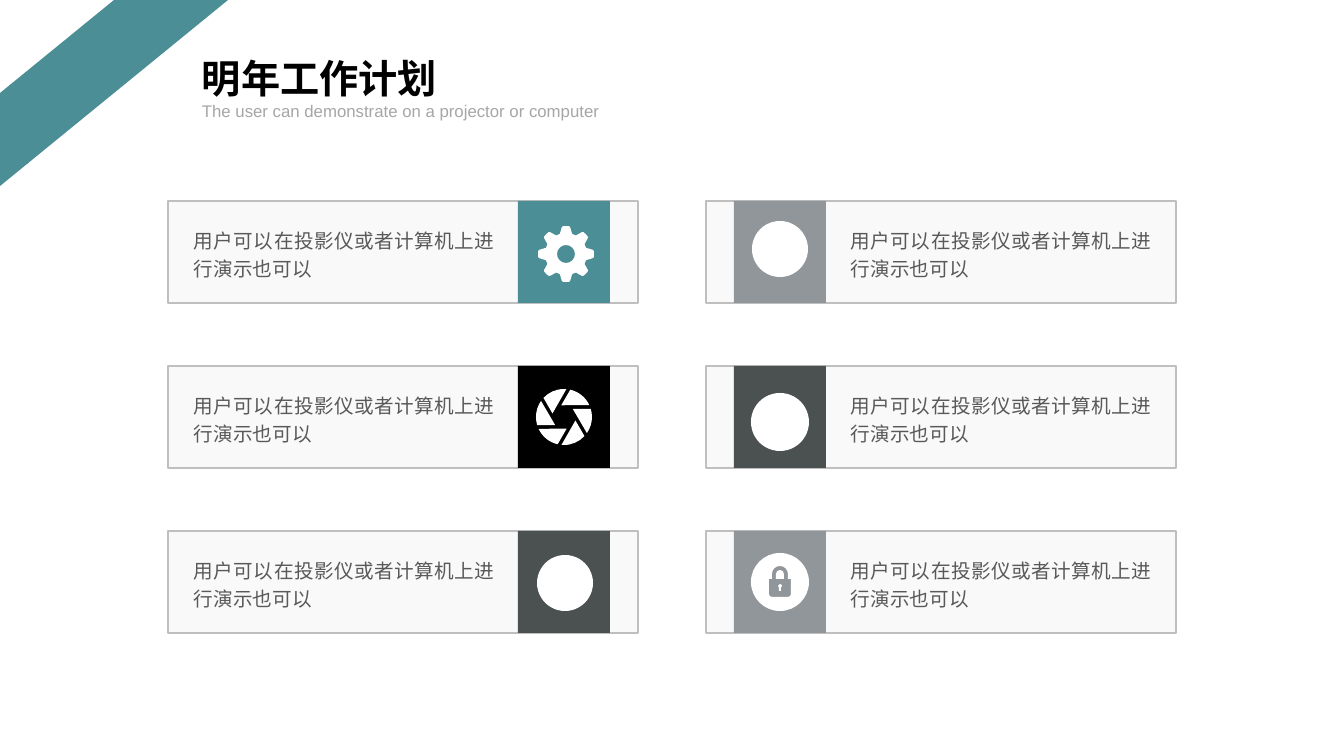
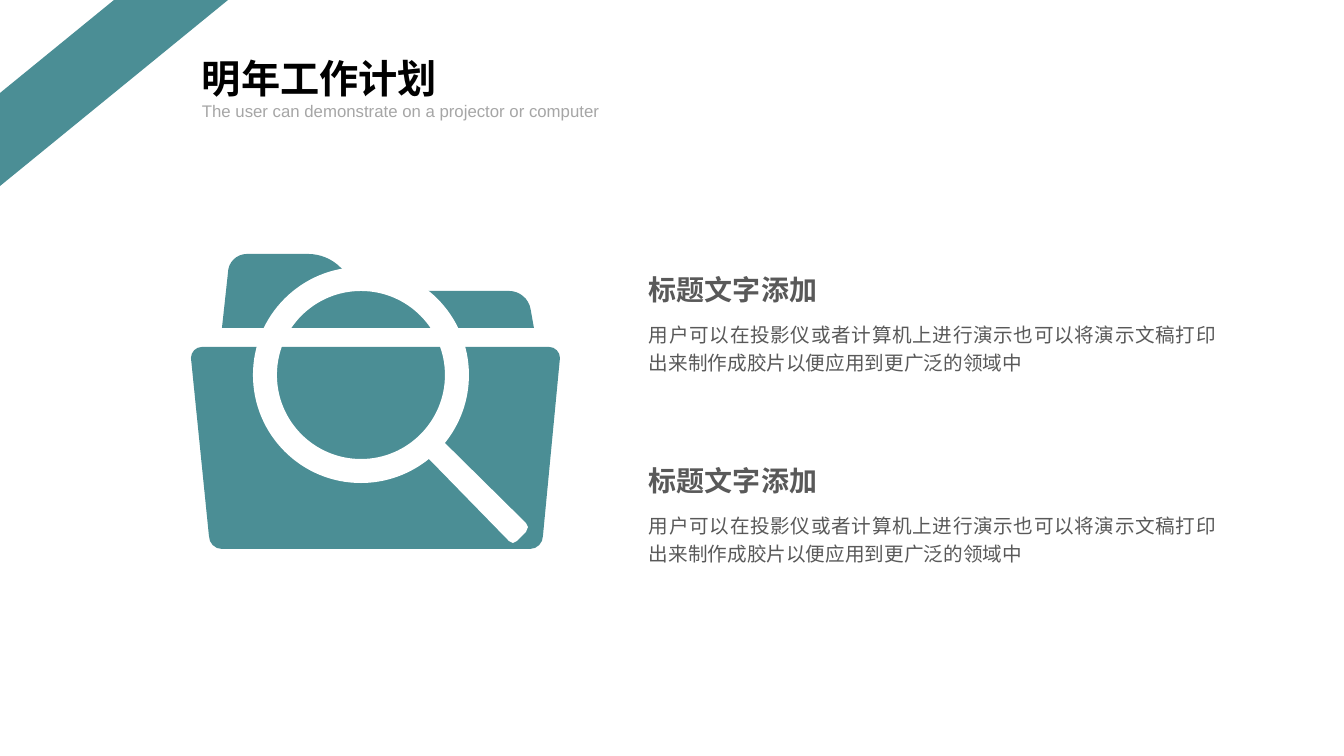
from dataclasses import dataclass
from math import cos, radians, sin, tan

from lxml.etree import SubElement
from pptx import Presentation
from pptx.dml.color import RGBColor
from pptx.enum.lang import MSO_LANGUAGE_ID
from pptx.enum.shapes import MSO_SHAPE
from pptx.enum.text import MSO_AUTO_SIZE, PP_ALIGN
from pptx.oxml.ns import qn
from pptx.util import Pt

PX = 914400 / 100.8


@dataclass(frozen=True)
class Theme:
    font: str = "Arial"
    teal: str = "4B8E95"
    silver: str = "91969B"
    slate: str = "4B5050"
    black: str = "000000"
    white: str = "FFFFFF"
    panel: str = "F2F2F2"
    border: str = "BFBFBF"
    body: str = "595959"
    muted: str = "A6A6A6"
    title_size: int = 28
    heading_size: int = 20
    body_size: int = 14
    subtitle_size: int = 12


theme = Theme()


def text(s, content, box, size=theme.body_size, color=theme.body, bold=False,
         align=PP_ALIGN.JUSTIFY, spacing=1.2, wrap=True,
         lang=MSO_LANGUAGE_ID.SIMPLIFIED_CHINESE):
    sp = s.shapes.add_textbox(*[round(v * PX) for v in box])
    tf = sp.text_frame
    tf.word_wrap = wrap
    tf.auto_size = MSO_AUTO_SIZE.SHAPE_TO_FIT_TEXT
    p = tf.paragraphs[0]
    p.alignment = align
    p.line_spacing = spacing
    r = p.add_run()
    r.text = content
    r.font.name = theme.font
    r.font.size = Pt(size)
    r.font.bold = bold
    r.font.color.rgb = RGBColor.from_string(color)
    r.font.language_id = lang
    for props in sp.element.iter(qn("a:rPr")):
        SubElement(props, qn("a:ea")).set("typeface", theme.font)


def arc(cx, cy, radius, start, end):
    low, high = sorted((start, end))
    cuts = [a for a in range(-360, 721, 90) if low < a < high]
    stops = [radians(a) for a in sorted({start, end, *cuts}, reverse=end < start)]
    nodes = [(cx + radius * cos(stops[0]), cy + radius * sin(stops[0]))]
    for a, b in zip(stops, stops[1:]):
        k = 4 / 3 * tan((b - a) / 4)
        nodes.append((cx + radius * (cos(a) - k * sin(a)),
                      cy + radius * (sin(a) + k * cos(a)),
                      cx + radius * (cos(b) + k * sin(b)),
                      cy + radius * (sin(b) - k * cos(b)),
                      cx + radius * cos(b), cy + radius * sin(b)))
    return nodes


prs = Presentation()
prs.slide_width = round(1344 * PX)
prs.slide_height = round(756 * PX)
layout = prs.slide_layouts[6]
for placeholder in list(layout.placeholders):
    layout.shapes.element.remove(placeholder.element)

cards_slide, folder_slide = [prs.slides.add_slide(layout) for _ in range(2)]
painted = []
outlines = []

band = cards_slide.shapes.add_shape(
    MSO_SHAPE.DIAGONAL_STRIPE, 0, 0, round(228 * PX), round(186 * PX))
painted.append((band, theme.teal, None))
layout.shapes.element.append(band.element)

CARD_TOP, CARD_PITCH, CARD_W, CARD_H, TILE_W = 201, 165, 470, 102, 92
columns = [
    (168, 518, 184, (theme.teal, theme.black, theme.slate)),
    (706, 734, 841, (theme.silver, theme.slate, theme.silver)),
]
for card_x, tile_x, text_x, fills in columns:
    for row, tile_fill in enumerate(fills):
        y = CARD_TOP + row * CARD_PITCH
        for x, w, fill, line in ((card_x, CARD_W, theme.panel, theme.border),
                                 (tile_x, TILE_W, tile_fill, None)):
            sp = cards_slide.shapes.add_shape(
                MSO_SHAPE.RECTANGLE, *[round(v * PX) for v in (x, y, w, CARD_H)])
            painted.append((sp, fill, line))
        text(cards_slide, "用户可以在投影仪或者计算机上进行演示也可以",
             (text_x, y + 18, 320, 68))

for cx, cy, radius in ((565, 583, 28), (780, 249, 28), (780, 422, 29)):
    badge = cards_slide.shapes.add_shape(
        MSO_SHAPE.OVAL, *[round(v * PX) for v in
                          (cx - radius, cy - radius, 2 * radius, 2 * radius)])
    painted.append((badge, theme.white, None))

gear = []
for tooth in range(0, 360, 45):
    for radius, start, end in ((27, -9, -9), (28, -6, 6), (27, 9, 9), (21, 17, 28)):
        gear += arc(566, 254, radius, tooth + start, tooth + end)
outlines.append((cards_slide, theme.white, [gear, arc(566, 254, 9, 0, 360)]))

blades = [arc(564, 417, 28, turn - 85, turn - 137)
          + arc(564, 417, 12, turn - 163, turn - 163)
          for turn in range(0, 360, 60)]
outlines.append((cards_slide, theme.white, blades))

lock = [
    arc(780, 582, 29, 0, 360),
    [(769, 579), (772, 579)] + arc(780, 574, 8, 180, 360)
    + [(788, 579), (791, 579)] + arc(788, 594, 3, 0, 90) + arc(772, 594, 3, 90, 180),
    arc(780, 574, 4, 180, 360) + [(784, 579), (776, 579)],
    arc(780, 586, 2, 120, 420) + [(781, 591), (779, 591)],
]
outlines.append((cards_slide, theme.white, lock))

folder_front = (arc(202, 358, 11, 180, 270) + arc(549, 358, 11, 270, 360)
                + arc(530, 536, 13, 0, 90) + arc(222, 536, 13, 90, 180))
folder_back = ([(222, 328)] + arc(247, 273, 19, 180, 270)
               + arc(308, 300, 46, 270, 315) + arc(383, 245, 46, 135, 90)
               + arc(509, 313, 22, 270, 350) + [(534, 328)])
outlines.append((folder_slide, theme.teal, [folder_front, folder_back]))

magnifier = [
    arc(361, 375, 108, 51, 399)
    + [(526, 523), (528, 527), (526, 532), (517, 541), (513, 543), (509, 541)],
    arc(361, 375, 84, 0, 360),
]
outlines.append((folder_slide, theme.white, magnifier))

for s, fill, contours in outlines:
    scaled = [[tuple(v * PX for v in node) for node in nodes] for nodes in contours]
    builder = s.shapes.build_freeform(*scaled[0][0])
    for i, nodes in enumerate(scaled):
        if i:
            builder.move_to(*nodes[0])
        builder.add_line_segments([node[-2:] for node in nodes[1:]], close=True)
    sp = builder.convert_to_shape()
    segments = list(sp.element.iter(qn("a:lnTo")))
    ends = [node for nodes in scaled for node in nodes[1:]]
    for segment, node in zip(segments, ends):
        if len(node) == 6:
            segment.tag = qn("a:cubicBezTo")
            for i in (0, 1):
                x, y = node[2 * i:2 * i + 2]
                control = segment.makeelement(qn("a:pt"))
                control.set("x", str(round(x) - sp.left))
                control.set("y", str(round(y) - sp.top))
                segment.insert(i, control)
    painted.append((sp, fill, None))

for y in (261, 452):
    text(folder_slide,
         "用户可以在投影仪或者计算机上进行演示也可以将演示文稿打印出来制作成胶片以便应用到更广泛的领域中",
         (639, y + 52, 587, 65))
    text(folder_slide, "标题文字添加", (639, y, 247, 47),
         size=theme.heading_size, bold=True)

for s in (cards_slide, folder_slide):
    text(s, "明年工作计划", (192, 49, 258, 57), size=theme.title_size,
         color=theme.black, bold=True, align=PP_ALIGN.LEFT, spacing=1, wrap=False)
    text(s, "The user can demonstrate on a projector or computer",
         (192, 96, 558, 30), size=theme.subtitle_size, color=theme.muted,
         align=PP_ALIGN.LEFT, spacing=1, lang=MSO_LANGUAGE_ID.ENGLISH_US)

for sp, fill, line in painted:
    sp.shadow.inherit = False
    sp.fill.solid()
    sp.fill.fore_color.rgb = RGBColor.from_string(fill)
    if line:
        color = sp.element.spPr.find(qn("a:solidFill")).find(qn("a:srgbClr"))
        SubElement(color, qn("a:alpha")).set("val", "40000")
        sp.line.color.rgb = RGBColor.from_string(line)
        sp.line.width = Pt(1.5)
    else:
        sp.line.fill.background()

prs.save("out.pptx")
